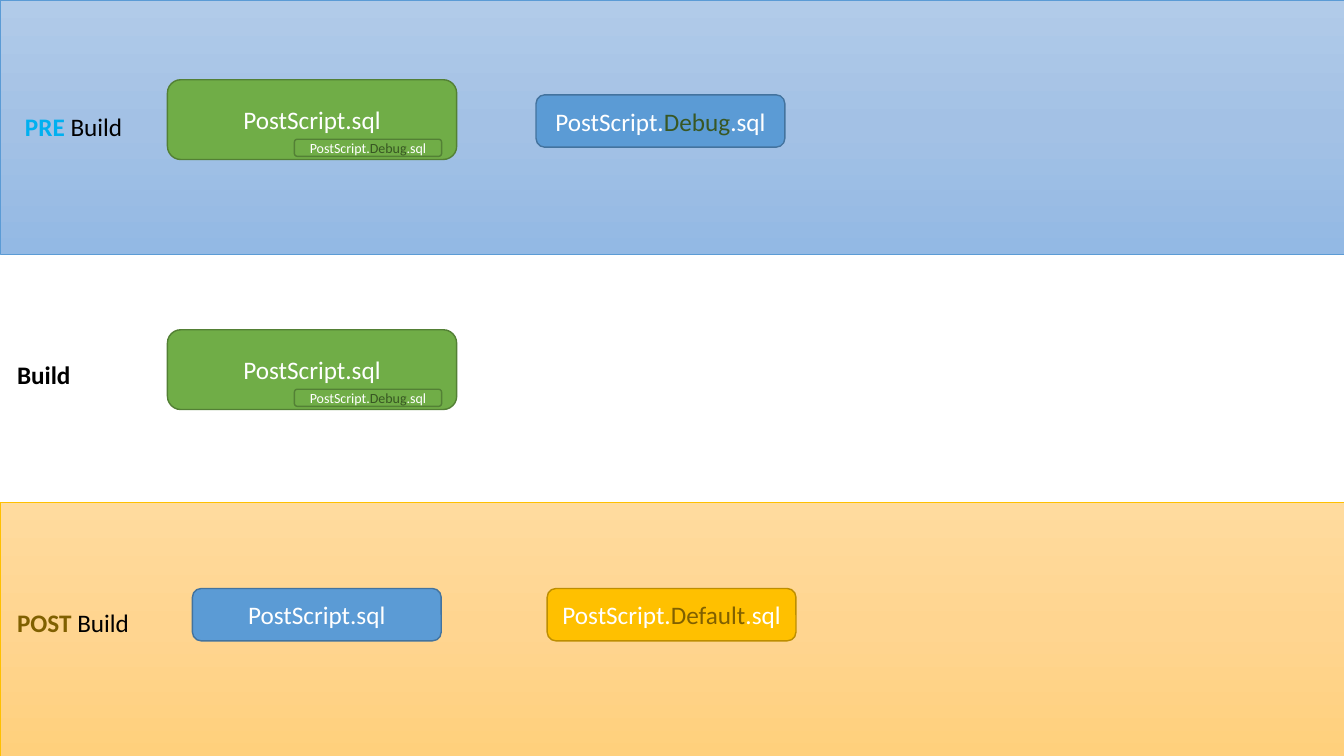
from copy import deepcopy

from pptx import Presentation
from pptx.dml.color import RGBColor
from pptx.enum.shapes import MSO_SHAPE
from pptx.enum.text import MSO_ANCHOR, MSO_AUTO_SIZE, PP_ALIGN
from pptx.oxml.ns import qn
from pptx.util import Cm, Pt

COLORS = {
    "black": "000000", "white": "FFFFFF", "cyan": "00B0F0",
    "blue": "5B9BD5", "blue_edge": "43739E",
    "green": "70AD47", "green_edge": "538035", "dark_green": "385723",
    "gold": "FFC000", "gold_edge": "BD8E00", "brown": "806000",
    "pre_top": "B1CBE9", "pre_middle": "A3C1E5", "pre_bottom": "93B9E4",
    "post_top": "FFDB9E", "post_middle": "FFD590", "post_bottom": "FFD07C",
}
SLIDE_WIDTH, SLIDE_HEIGHT = 33.87, 19.05
BAND_HEIGHT = 6.4
SCRIPT_SIZE = (6.27, 1.32)
PLAIN_NAME = [("PostScript.sql", "white")]
DEBUG_NAME = [("PostScript.", "white"), ("Debug", "dark_green"), (".sql", "white")]
DEFAULT_NAME = [("PostScript.", "white"), ("Default", "brown"), (".sql", "white")]


def rgb(name):
    return RGBColor.from_string(COLORS[name])


def add_run(paragraph, text, color, size=18, bold=False):
    run = paragraph.add_run()
    run.text = text
    run.font.name = "Calibri"
    run.font.size = Pt(size)
    run.font.bold = bold
    run.font.color.rgb = rgb(color)


def add_band(slide, top, shades, edge):
    band = slide.shapes.add_shape(
        MSO_SHAPE.RECTANGLE, 0, Cm(top), Cm(SLIDE_WIDTH), Cm(BAND_HEIGHT))
    band.shadow.inherit = False
    band.fill.gradient()
    band.fill.gradient_angle = 270
    first_stop = band._element.spPr.find(".//" + qn("a:gs"))
    first_stop.addnext(deepcopy(first_stop))
    for stop, shade, position in zip(band.fill.gradient_stops, shades, (0, 0.5, 1)):
        stop.color.rgb = rgb(shade)
        stop.position = position
    band.line.color.rgb = rgb(edge)
    band.line.width = Pt(0.5)


def add_stage_label(slide, left, top, width, parts):
    label = slide.shapes.add_textbox(Cm(left), Cm(top), Cm(width), Cm(1.02))
    frame = label.text_frame
    frame.word_wrap = False
    frame.auto_size = MSO_AUTO_SIZE.SHAPE_TO_FIT_TEXT
    for text, color, bold in parts:
        add_run(frame.paragraphs[0], text, color, bold=bold)


def add_script(slide, left, top, width, height, parts, color, size=18):
    script = slide.shapes.add_shape(
        MSO_SHAPE.ROUNDED_RECTANGLE, Cm(left), Cm(top), Cm(width), Cm(height))
    script.shadow.inherit = False
    script.fill.solid()
    script.fill.fore_color.rgb = rgb(color)
    script.line.color.rgb = rgb(color + "_edge")
    script.line.width = Pt(1)
    frame = script.text_frame
    frame.word_wrap = True
    frame.vertical_anchor = MSO_ANCHOR.MIDDLE
    paragraph = frame.paragraphs[0]
    paragraph.alignment = PP_ALIGN.CENTER
    for text, text_color in parts:
        add_run(paragraph, text, text_color, size)


def add_merged_script(slide, left, top):
    add_script(slide, left, top, 7.29, 2.01, PLAIN_NAME, "green")
    add_script(slide, left + 3.2, top + 1.5, 3.71, 0.43, DEBUG_NAME, "green", 10)


def add_pre_build(slide, top):
    add_band(slide, top, ("pre_top", "pre_middle", "pre_bottom"), "blue")
    add_stage_label(slide, 0.38, top + 2.69, 2.97,
                    [("PRE ", "cyan", True), ("Build", "black", False)])
    add_script(slide, 13.51, top + 2.39, *SCRIPT_SIZE, DEBUG_NAME, "blue")
    add_merged_script(slide, 4.22, top + 2.01)


def add_build(slide, top):
    add_stage_label(slide, 0.18, top + 2.54, 1.88, [("Build", "black", True)])
    add_merged_script(slide, 4.22, top + 1.91)


def add_post_build(slide, top):
    add_band(slide, top, ("post_top", "post_middle", "post_bottom"), "gold")
    add_stage_label(slide, 0.18, top + 2.54, 3.35,
                    [("POST ", "brown", True), ("Build", "black", False)])
    add_script(slide, 13.79, top + 2.18, *SCRIPT_SIZE, DEFAULT_NAME, "gold")
    add_script(slide, 4.85, top + 2.18, *SCRIPT_SIZE, PLAIN_NAME, "blue")


def main():
    presentation = Presentation()
    presentation.slide_width = Cm(SLIDE_WIDTH)
    presentation.slide_height = Cm(SLIDE_HEIGHT)
    slide = presentation.slides.add_slide(presentation.slide_layouts[6])
    add_pre_build(slide, 0)
    add_build(slide, BAND_HEIGHT)
    add_post_build(slide, SLIDE_HEIGHT - BAND_HEIGHT)
    presentation.save("out.pptx")


if __name__ == "__main__":
    main()
